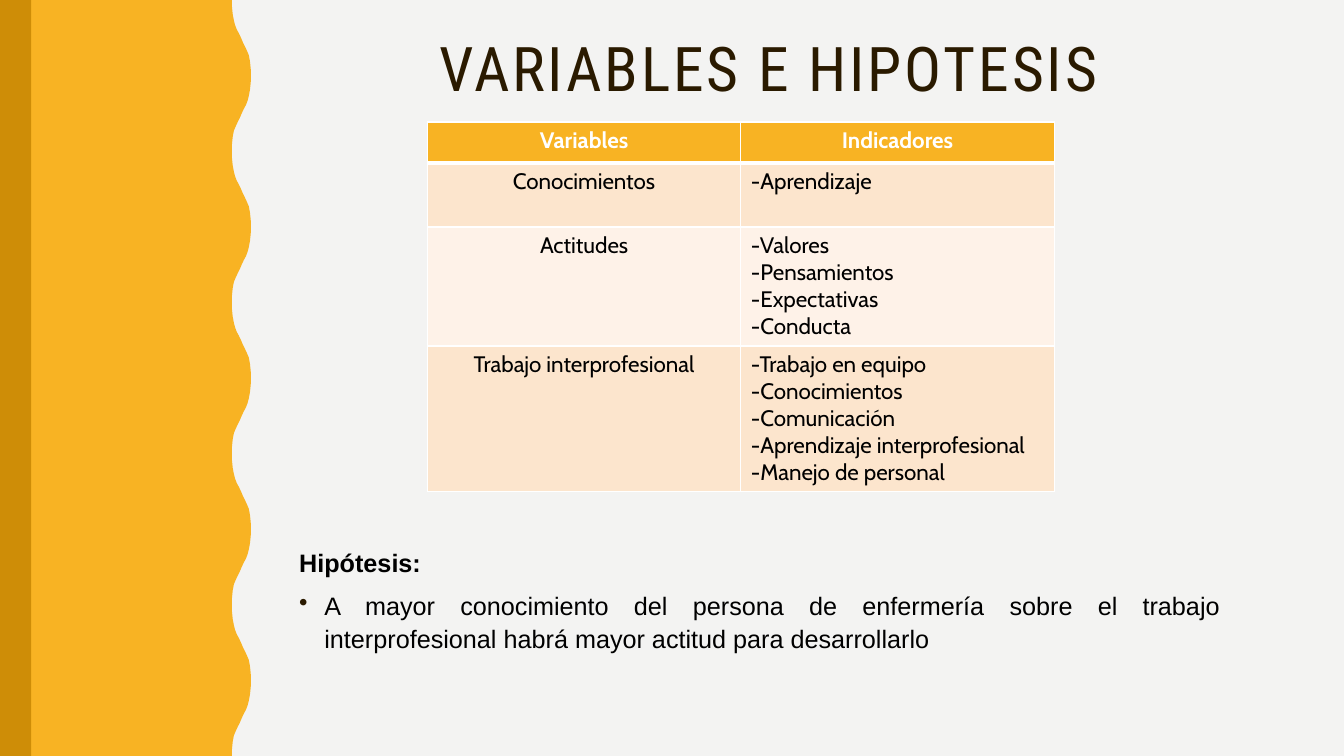
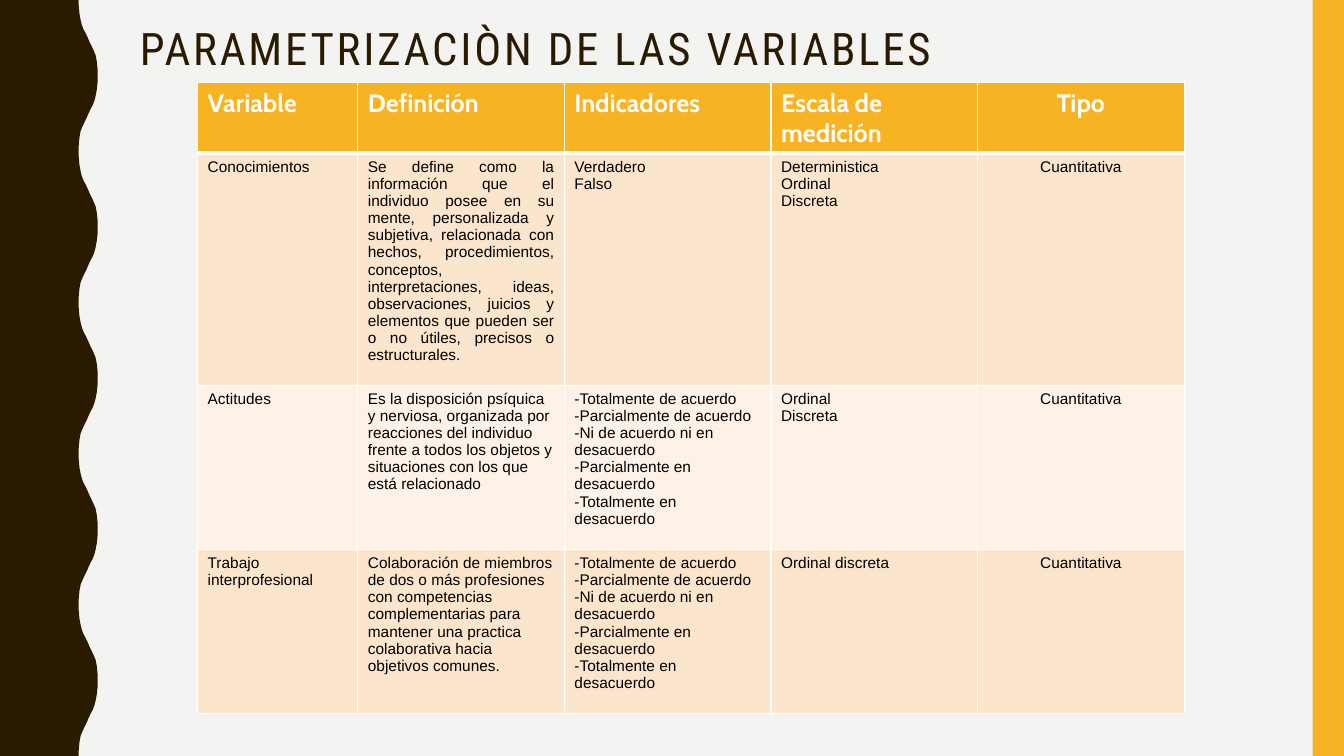
from lxml import etree
from pptx import Presentation
from pptx.dml.color import RGBColor
from pptx.enum.shapes import MSO_SHAPE as Shape
from pptx.enum.text import MSO_ANCHOR as Anchor, PP_ALIGN as Align
from pptx.oxml import parse_xml
from pptx.oxml.ns import nsdecls, qn
from pptx.util import Inches, Pt

PAPER = RGBColor(0xF3, 0xF3, 0xF2)
BROWN = RGBColor(0x2A, 0x1A, 0x00)
YELLOW = RGBColor(0xF8, 0xB3, 0x23)
OCHRE = RGBColor(0xCE, 0x8D, 0x07)
PEACH = RGBColor(0xFC, 0xE5, 0xCD)
CREAM = RGBColor(0xFE, 0xF2, 0xE8)
BLACK = RGBColor(0x00, 0x00, 0x00)
WHITE = RGBColor(0xFF, 0xFF, 0xFF)

TITLE_FONT, TABLE_FONT, BODY_FONT = "Roboto Condensed", "Cabin", "Arial"

# The slide is a grid of 40 columns by 22.5 rows of square cells.
COLUMNS, ROWS = 40, 22.5
CELL = Inches(13.333) / COLUMNS
BAND = 0.93

# One half wave, as shares of its height and its depth.
HALF_WAVE = [(0, 0), (0.09, 0.01), (0.19, 0.05), (0.27, 0.11), (0.33, 0.17),
             (0.39, 0.26), (0.44, 0.37), (0.5, 0.48), (0.56, 0.58),
             (0.61, 0.68), (0.67, 0.79), (0.73, 0.89), (0.81, 0.95),
             (0.91, 0.99)]
HALF_WAVES = 10
WAVE_DEPTH = 0.57


def grid(count):
    """Turn a number of grid cells into a length."""
    return round(count * CELL)


def write(frame, text, *, size, font=BODY_FONT, color=BLACK, bold=False,
          align=Align.LEFT, line=None, before=None, tracking=None,
          bullet=None):
    """Write each line of text as a paragraph; add to text already there."""
    for index, words in enumerate(text.split("\n")):
        fresh = index == 0 and not frame.text
        para = frame.paragraphs[0] if fresh else frame.add_paragraph()
        para.alignment = align
        if line:
            para.line_spacing = line
        if before:
            para.space_before = Pt(before)
        if bullet:
            add_bullet(para, bullet)
        span = para.add_run()
        span.text = words
        span.font.name, span.font.size = font, Pt(size)
        span.font.bold, span.font.color.rgb = bold, color
        if tracking:
            span.font._element.set("spc", str(tracking * 100))


def add_bullet(para, color):
    """Give a paragraph a round bullet and a hanging indent."""
    properties = para._p.get_or_add_pPr()
    properties.set("marL", str(Inches(0.25)))
    properties.set("indent", str(-Inches(0.25)))
    tint = etree.SubElement(properties, qn("a:buClr"))
    etree.SubElement(tint, qn("a:srgbClr")).set("val", str(color))
    etree.SubElement(properties, qn("a:buChar")).set("char", "•")


def add_borders(cell, top, bottom):
    """Draw white borders round a cell, with the given top and bottom."""
    widths = {"lnL": 1, "lnR": 1, "lnT": top, "lnB": bottom}
    for place, (side, width) in enumerate(widths.items()):
        border = parse_xml(
            f'<a:{side} {nsdecls("a")} w="{Pt(width)}"><a:solidFill>'
            f'<a:srgbClr val="{WHITE}"/></a:solidFill></a:{side}>')
        cell._tc.get_or_add_tcPr().insert(place, border)


class Designer:
    """Holds the shared style and the current slide."""

    def __init__(self):
        """Open a wide deck."""
        self.deck = Presentation()
        self.deck.slide_width = grid(COLUMNS)
        self.deck.slide_height = grid(ROWS)
        self.page = None

    def new_page(self):
        """Start a blank page on the paper colour."""
        self.page = self.deck.slides.add_slide(self.deck.slide_layouts[6])
        fill = self.page.background.fill
        fill.solid()
        fill.fore_color.rgb = PAPER

    def paint(self, shape, color):
        """Fill a shape flat, without line or shadow."""
        shape.shadow.inherit = False
        shape.fill.solid()
        shape.fill.fore_color.rgb = color
        shape.line.fill.background()

    def band(self, left, color):
        """Draw a thin band of full height."""
        self.paint(self.page.shapes.add_shape(
            Shape.RECTANGLE, grid(left), 0, grid(BAND), grid(ROWS)), color)

    def wave(self, width, color):
        """Draw a panel from the left edge with a wavy right side."""
        height = ROWS / HALF_WAVES
        edge = []
        for half in range(HALF_WAVES):
            for down, out in HALF_WAVE:
                depth = 1 - out if half % 2 else out
                edge.append((grid(width + depth * WAVE_DEPTH),
                             grid((half + down) * height)))
        edge += [(grid(width), grid(ROWS)), (0, grid(ROWS))]
        outline = self.page.shapes.build_freeform(0, 0)
        outline.add_line_segments(edge, close=True)
        self.paint(outline.convert_to_shape(), color)

    def box(self, left, top, width, height, anchor=Anchor.TOP):
        """Add a wrapping text box and return its frame."""
        frame = self.page.shapes.add_textbox(
            grid(left), grid(top), grid(width), grid(height)).text_frame
        frame.word_wrap = True
        frame.vertical_anchor = anchor
        return frame

    def title(self, text, area, size, anchor=Anchor.TOP, align=Align.LEFT):
        """Write the page title."""
        write(self.box(*area, anchor), text, size=size, font=TITLE_FONT,
              color=BROWN, align=align, line=0.9, tracking=2)

    def table(self, left, top, widths, heights, rows, *, head, body,
              aligns, special=None):
        """Add a banded table; special maps (row, column) to an alignment."""
        special = special or {}
        table = self.page.shapes.add_table(
            len(rows), len(widths), grid(left), grid(top),
            grid(sum(widths)), grid(sum(heights))).table
        for column, width in zip(table.columns, widths):
            column.width = grid(width)
        for number, (height, texts) in enumerate(zip(heights, rows)):
            table.rows[number].height = grid(height)
            color = (PEACH if number % 2 else CREAM) if number else YELLOW
            look = body if number else head
            for place, text in enumerate(texts):
                cell = table.cell(number, place)
                cell.fill.solid()
                cell.fill.fore_color.rgb = color
                add_borders(cell, 3 if number == 1 else 1,
                            1 if number else 3)
                align = special.get((number, place), aligns[place])
                write(cell.text_frame, text, align=align, **look)


def head_style(size):
    """Return the format of a table's first row."""
    return dict(size=size, font=TABLE_FONT, color=WHITE, bold=True)


def hypothesis_page(designer):
    """Build the page with the variables and the hypothesis."""
    designer.new_page()
    designer.title("VARIABLES E HIPOTESIS", (8.88, -1.38, 28, 4.65), 44,
                   Anchor.BOTTOM, Align.CENTER)
    designer.wave(6.9, YELLOW)
    designer.band(0, OCHRE)
    frame = designer.box(8.61, 16.05, 28, 4)
    write(frame, "Hipótesis:", size=18, bold=True, line=1.1, before=7)
    write(frame, "A mayor conocimiento del persona de enfermería sobre el "
          "trabajo interprofesional habrá mayor actitud para desarrollarlo",
          size=18, align=Align.JUSTIFY, line=1.1, before=7, bullet=BROWN)
    rows = [
        ("Variables", "Indicadores"),
        ("Conocimientos", "-Aprendizaje"),
        ("Actitudes", "-Valores\n-Pensamientos\n-Expectativas\n-Conducta"),
        ("Trabajo interprofesional",
         "-Trabajo en equipo\n-Conocimientos\n-Comunicación\n"
         "-Aprendizaje interprofesional\n-Manejo de personal"),
    ]
    designer.table(12.72, 3.63, [9.33] * 2, [1.23, 1.9, 3.54, 4.32], rows,
                   head=head_style(16), body=dict(size=16, font=TABLE_FONT),
                   aligns=[Align.CENTER, Align.LEFT],
                   special={(0, 1): Align.CENTER})


def parameters_page(designer):
    """Build the page that defines and scales each variable."""
    designer.new_page()
    designer.wave(2.34, BROWN)
    designer.band(COLUMNS - BAND, YELLOW)
    designer.title("PARAMETRIZACIÒN DE LAS VARIABLES",
                   (3.87, 0.66, 33.39, 2.49), 32)
    agreement = ("-Totalmente de acuerdo\n-Parcialmente de acuerdo\n"
                 "-Ni de acuerdo ni en desacuerdo\n"
                 "-Parcialmente en desacuerdo\n-Totalmente en desacuerdo")
    rows = [
        ("Variable", "Definición", "Indicadores", "Escala de medición",
         "Tipo"),
        ("Conocimientos",
         "Se define como la información que el individuo posee en su mente, "
         "personalizada y subjetiva, relacionada con hechos, "
         "procedimientos, conceptos, interpretaciones, ideas, "
         "observaciones, juicios y elementos que pueden ser o no útiles, "
         "precisos o estructurales.",
         "Verdadero\nFalso", "Deterministica\nOrdinal\nDiscreta",
         "Cuantitativa"),
        ("Actitudes",
         "Es la disposición psíquica y nerviosa, organizada por reacciones "
         "del individuo frente a todos los objetos y situaciones con los "
         "que está relacionado",
         agreement, "Ordinal\nDiscreta", "Cuantitativa"),
        ("Trabajo interprofesional",
         "Colaboración de miembros de dos o más profesiones con "
         "competencias complementarias para mantener una practica "
         "colaborativa hacia objetivos comunes.",
         agreement, "Ordinal discreta", "Cuantitativa"),
    ]
    designer.table(5.88, 2.46, [4.77] + [6.15] * 4, [2.1, 6.63, 4.89, 4.89],
                   rows, head=head_style(18), body=dict(size=11),
                   aligns=[Align.LEFT] * 4 + [Align.CENTER],
                   special={(1, 1): Align.JUSTIFY})


designer = Designer()
hypothesis_page(designer)
parameters_page(designer)
designer.deck.save("out.pptx")
